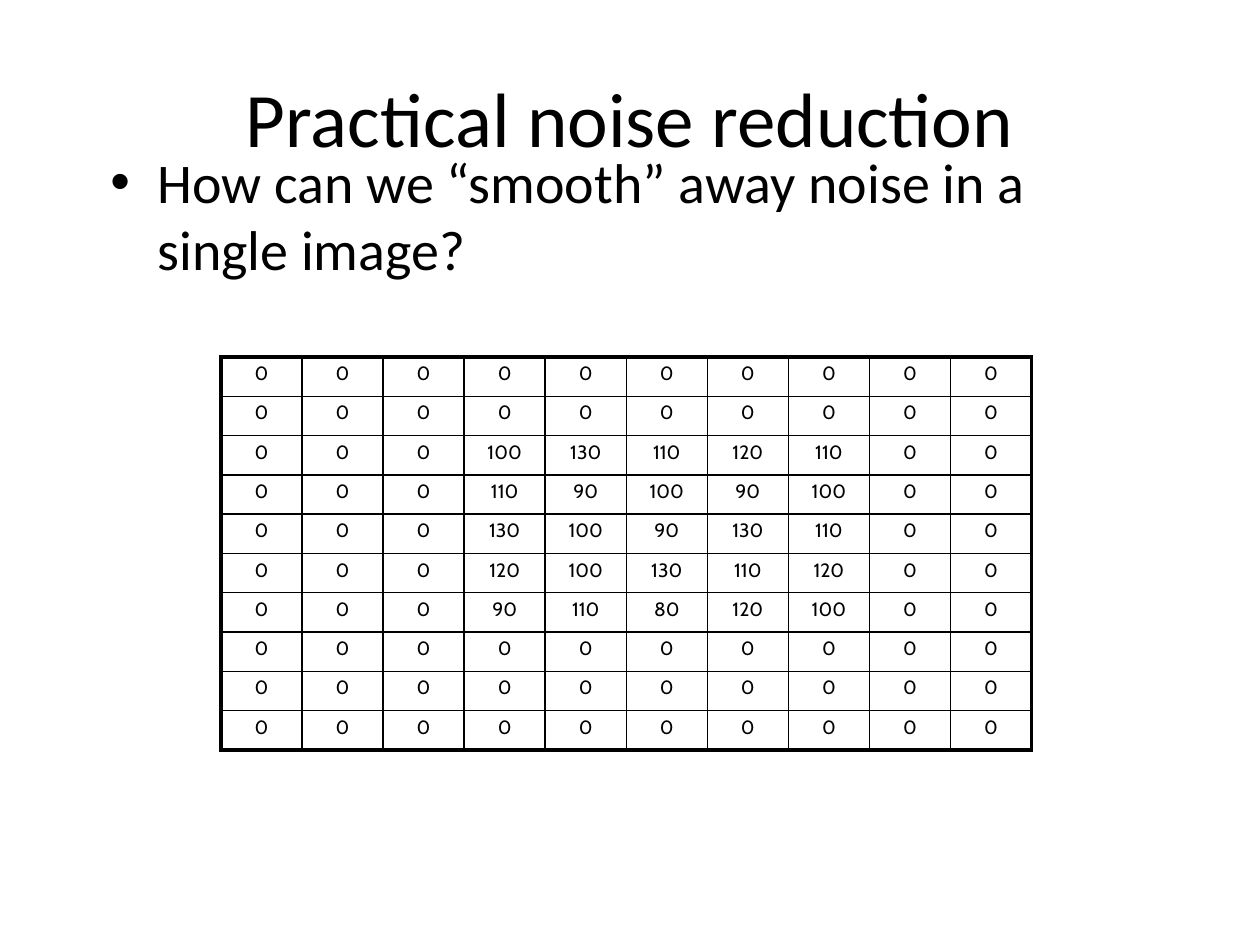
from dataclasses import dataclass

import lxml.etree
import pptx
import pptx.dml.color
import pptx.enum.text
import pptx.oxml.ns
import pptx.util

EMU_PER_PX = 914400 / 126


@dataclass(frozen=True)
class Theme:
    ink: str = "000000"
    text_font: str = "Calibri"
    pixel_font: str = "Cabin"
    title_size: int = 44
    body_size: int = 32
    pixel_size: int = 11
    frame_width: float = 2.25
    grid_width: float = 1


@dataclass(frozen=True)
class Area:
    left: int
    top: int
    width: int
    height: int

    def emu(self) -> tuple:
        return px(self.left), px(self.top), px(self.width), px(self.height)


THEME = Theme()
ALIGN = pptx.enum.text.PP_ALIGN
ANCHOR = pptx.enum.text.MSO_ANCHOR

GRID_SIZE = 10
PATCH_ROW, PATCH_COLUMN = 2, 3
PATCH = (
    (100, 130, 110, 120, 110),
    (110, 90, 100, 90, 100),
    (130, 100, 90, 130, 110),
    (120, 100, 130, 110, 120),
    (90, 110, 80, 120, 100),
)


def px(length: float) -> pptx.util.Emu:
    return pptx.util.Emu(round(length * EMU_PER_PX))


def style(paragraph, font: str, size: int) -> None:
    for run in paragraph.runs:
        run.font.name = font
        run.font.size = pptx.util.Pt(size)
        run.font.color.rgb = pptx.dml.color.RGBColor.from_string(THEME.ink)


def add_bullet(paragraph, indent: int) -> None:
    properties = paragraph._p.get_or_add_pPr()
    properties.set("marL", str(px(indent)))
    properties.set("indent", str(-px(indent)))
    qn = pptx.oxml.ns.qn
    lxml.etree.SubElement(properties, qn("a:buFont"), typeface="Arial")
    lxml.etree.SubElement(properties, qn("a:buChar"), char="•")


def add_text(slide, area: Area, wording: str, size: int, anchor, align):
    frame = slide.shapes.add_textbox(*area.emu()).text_frame
    frame.word_wrap = True
    frame.vertical_anchor = anchor
    frame.text = wording
    paragraph = frame.paragraphs[0]
    paragraph.alignment = align
    style(paragraph, THEME.text_font, size)
    return paragraph


def draw_borders(cell, row: int, column: int) -> None:
    last = GRID_SIZE - 1
    on_frame = {"lnL": column == 0, "lnR": column == last, "lnT": row == 0, "lnB": row == last}
    properties = cell._tc.get_or_add_tcPr()
    qn = pptx.oxml.ns.qn
    for position, (side, framed) in enumerate(on_frame.items()):
        width = pptx.util.Pt(THEME.frame_width if framed else THEME.grid_width)
        line = lxml.etree.Element(qn(f"a:{side}"), w=str(width))
        fill = lxml.etree.SubElement(line, qn("a:solidFill"))
        lxml.etree.SubElement(fill, qn("a:srgbClr"), val=THEME.ink)
        properties.insert(position, line)


def intensity(row: int, column: int) -> int:
    patch_row, patch_column = row - PATCH_ROW, column - PATCH_COLUMN
    if 0 <= patch_row < len(PATCH) and 0 <= patch_column < len(PATCH[0]):
        return PATCH[patch_row][patch_column]
    return 0


def add_pixel_grid(slide, area: Area) -> None:
    grid = slide.shapes.add_table(GRID_SIZE, GRID_SIZE, *area.emu()).table
    grid.first_row = grid.horz_banding = False
    for column in grid.columns:
        column.width = px(area.width / GRID_SIZE)
    for row in grid.rows:
        row.height = px(area.height / GRID_SIZE)
    for row in range(GRID_SIZE):
        for column in range(GRID_SIZE):
            cell = grid.cell(row, column)
            cell.margin_left = cell.margin_right = 0
            cell.margin_top = cell.margin_bottom = px(5)
            cell.fill.background()
            draw_borders(cell, row, column)
            cell.text_frame.text = str(intensity(row, column))
            paragraph = cell.text_frame.paragraphs[0]
            paragraph.alignment = ALIGN.CENTER
            style(paragraph, THEME.pixel_font, THEME.pixel_size)


def main() -> None:
    presentation = pptx.Presentation()
    presentation.slide_width, presentation.slide_height = px(1260), px(945)
    slide = presentation.slides.add_slide(presentation.slide_layouts[6])
    add_text(slide, Area(63, 38, 1134, 157), "Practical noise reduction",
             THEME.title_size, ANCHOR.MIDDLE, ALIGN.CENTER)
    question = add_text(slide, Area(98, 141, 1071, 725),
                        "How can we “smooth” away noise in a single image?",
                        THEME.body_size, ANCHOR.TOP, ALIGN.LEFT)
    add_bullet(question, 47)
    add_pixel_grid(slide, Area(221, 357, 811, 393))
    presentation.save("out.pptx")


if __name__ == "__main__":
    main()
